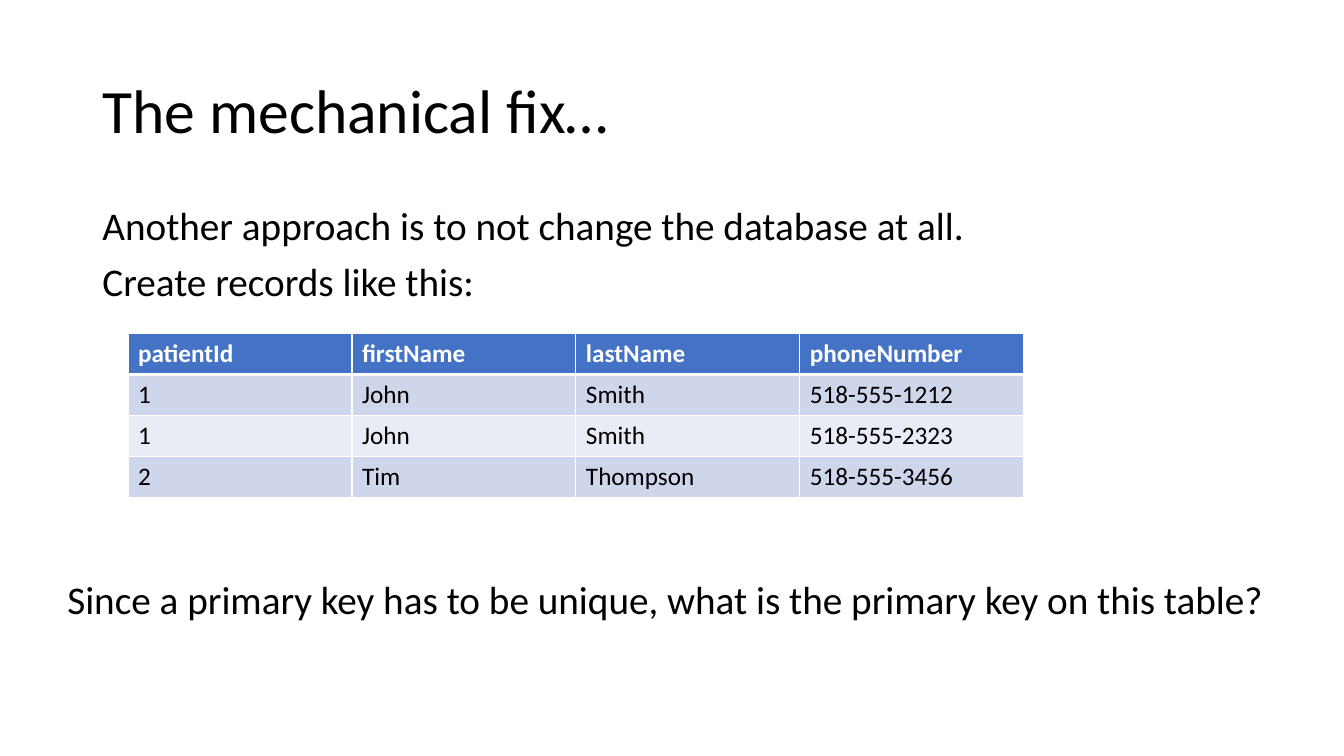
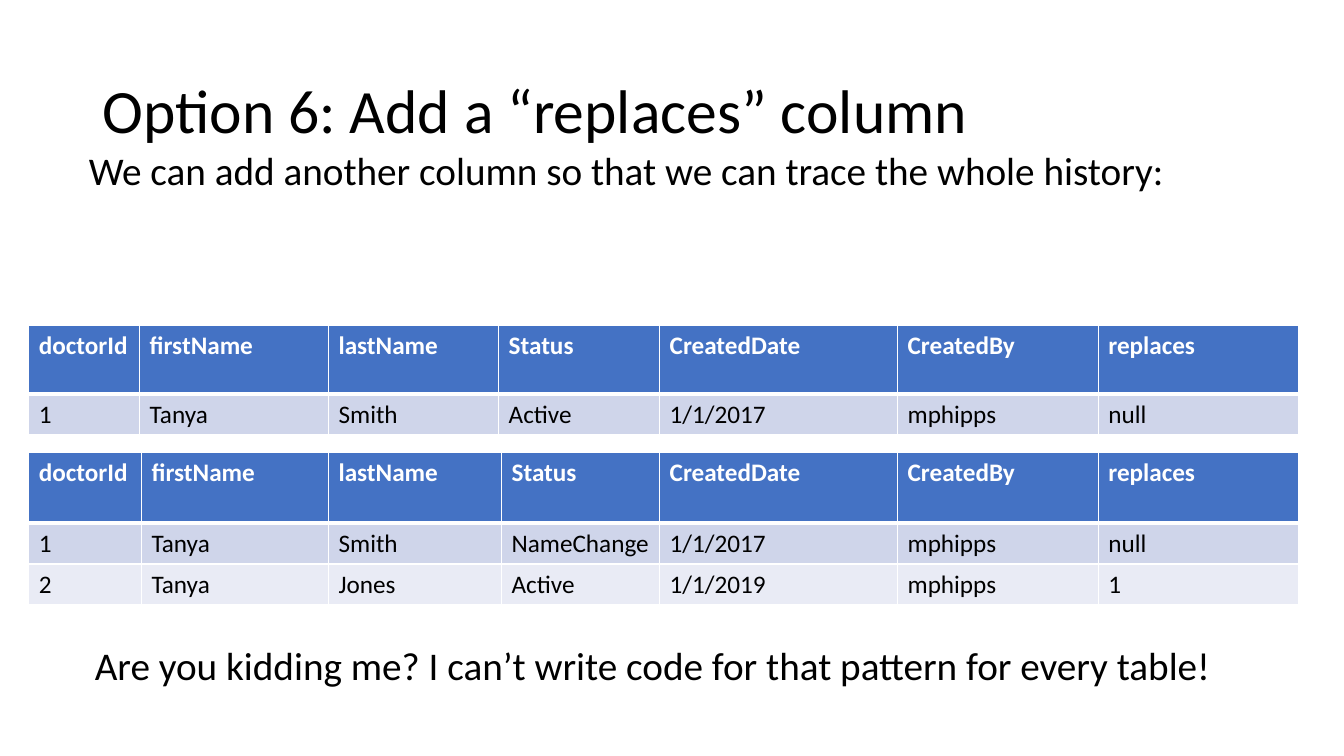
from lxml import etree
from pptx import Presentation
from pptx.dml.color import RGBColor
from pptx.enum.text import MSO_ANCHOR, MSO_AUTO_SIZE, PP_ALIGN
from pptx.oxml.ns import qn
from pptx.util import Pt

LEFT = PP_ALIGN.LEFT
TOP, MIDDLE = MSO_ANCHOR.TOP, MSO_ANCHOR.MIDDLE
NO_FIT = MSO_AUTO_SIZE.NONE

FONT = "Calibri"
BLACK, WHITE, HEADER = "000000", "FFFFFF", "4472C4"
BANDS = ("CFD5EA", "E9EBF5")
TITLE_BOX = (66, 28.75, 828, 104.4)


def rgb(value):
    return RGBColor.from_string(value)


def write(p, text, size=28, color=BLACK, bold=False, line=None, before=None):
    p.alignment = LEFT
    if line is not None:
        p.line_spacing = line
    if before is not None:
        p.space_before = Pt(before)
    r = p.add_run()
    r.text = text
    r.font.name = FONT
    r.font.size = Pt(size)
    r.font.bold = bold
    r.font.color.rgb = rgb(color)


def place(sp, box, anchor):
    sp.left, sp.top, sp.width, sp.height = map(Pt, box)
    tf = sp.text_frame
    tf.auto_size = NO_FIT
    tf.vertical_anchor = anchor
    return tf


def remove_bullet(p):
    ppr = p._p.get_or_add_pPr()
    ppr.set("marL", "0")
    ppr.set("indent", "0")
    etree.SubElement(ppr, qn("a:buNone"))


def add_slide(prs, title, body, body_box):
    slide = prs.slides.add_slide(prs.slide_layouts[1])
    tf = place(slide.shapes.title, TITLE_BOX, MIDDLE)
    write(tf.paragraphs[0], title, size=44, line=0.9)
    tf = place(slide.placeholders[1], body_box, TOP)
    for i, text in enumerate(body):
        p = tf.add_paragraph() if i else tf.paragraphs[0]
        write(p, text, line=0.9, before=10)
        remove_bullet(p)
    return slide


def add_note(slide, text, x, y, w):
    tf = slide.shapes.add_textbox(Pt(x), Pt(y), Pt(w), Pt(41.2)).text_frame
    tf.word_wrap = False
    write(tf.paragraphs[0], text)


def set_borders(cell, top, bottom):
    tcpr = cell._tc.get_or_add_tcPr()
    for i, (side, width) in enumerate((("L", 1), ("R", 1), ("T", top), ("B", bottom))):
        ln = etree.Element(qn(f"a:ln{side}"), w=str(Pt(width)))
        fill = etree.SubElement(ln, qn("a:solidFill"))
        etree.SubElement(fill, qn("a:srgbClr"), val=WHITE)
        tcpr.insert(i, ln)


def add_records(slide, x, y, widths, heights, rows):
    """Add a table with a blue header row and banded records."""
    table = slide.shapes.add_table(len(rows), len(widths), Pt(x), Pt(y),
                                   Pt(sum(widths)), Pt(sum(heights))).table
    for column, width in zip(table.columns, widths):
        column.width = Pt(width)
    for i, (height, values) in enumerate(zip(heights, rows)):
        table.rows[i].height = Pt(height)
        header = i == 0
        for j, text in enumerate(values):
            cell = table.cell(i, j)
            cell.fill.solid()
            cell.fill.fore_color.rgb = rgb(HEADER if header else BANDS[(i - 1) % 2])
            write(cell.text_frame.paragraphs[0], text, size=18,
                  color=WHITE if header else BLACK, bold=header)
            set_borders(cell, top=3 if i == 1 else 1, bottom=3 if header else 1)


def mechanical_fix(prs):
    slide = add_slide(prs, "The mechanical fix…",
                      ["Another approach is to not change the database at all.",
                       "Create records like this:"], (66, 143.75, 828, 342.6))
    add_records(slide, 91.4, 238.4, [160] * 4, [29.2] * 4, [
        ("patientId", "firstName", "lastName", "phoneNumber"),
        ("1", "John", "Smith", "518-555-1212"),
        ("1", "John", "Smith", "518-555-2323"),
        ("2", "Tim", "Thompson", "518-555-3456"),
    ])
    add_note(slide, "Since a primary key has to be unique, "
                    "what is the primary key on this table?", 41, 407.5, 878.4)


def replaces_column(prs):
    slide = add_slide(prs, "Option 6: Add a “replaces” column",
                      ["We can add another column so that we can trace the whole history:"],
                      (56.2, 104.4, 828, 42.5))
    columns = ("doctorId", "firstName", "lastName", "Status",
               "CreatedDate", "CreatedBy", "replaces")
    shared_widths = [170, 143.4, 143.4]
    add_records(slide, 20.5, 232.5, [79.2, 135, 121.5, 115] + shared_widths, [49, 29.2], [
        columns,
        ("1", "Tanya", "Smith", "Active", "1/1/2017", "mphipps", "null"),
    ])
    add_records(slide, 20.5, 323.3, [80.6, 133.6, 123.6, 112.9] + shared_widths,
                [50.4, 29.2, 29.2], [
        columns,
        ("1", "Tanya", "Smith", "NameChange", "1/1/2017", "mphipps", "null"),
        ("2", "Tanya", "Jones", "Active", "1/1/2019", "mphipps", "1"),
    ])
    add_note(slide, "Are you kidding me? I can’t write code for that pattern "
                    "for every table!", 60.6, 454.3, 821)


def main():
    prs = Presentation()
    prs.slide_width, prs.slide_height = Pt(960), Pt(540)
    mechanical_fix(prs)
    replaces_column(prs)
    prs.save("out.pptx")


if __name__ == "__main__":
    main()
